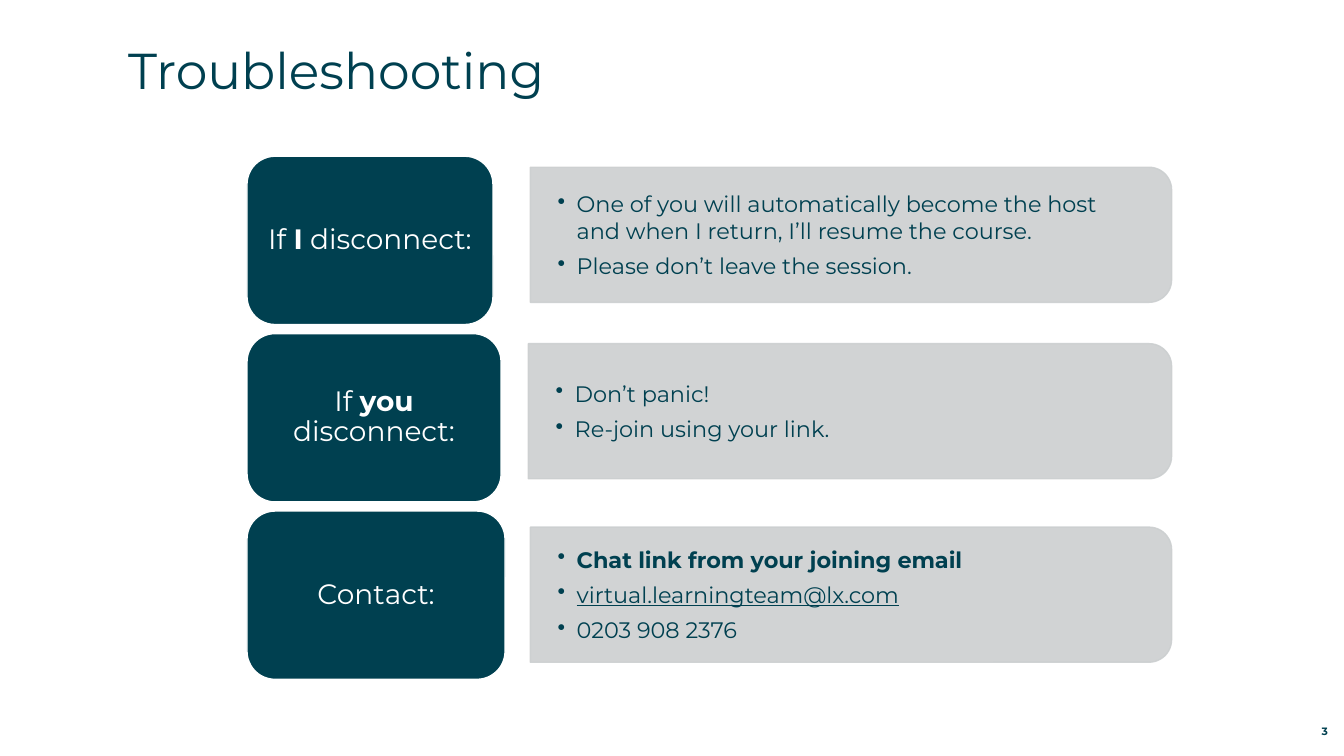
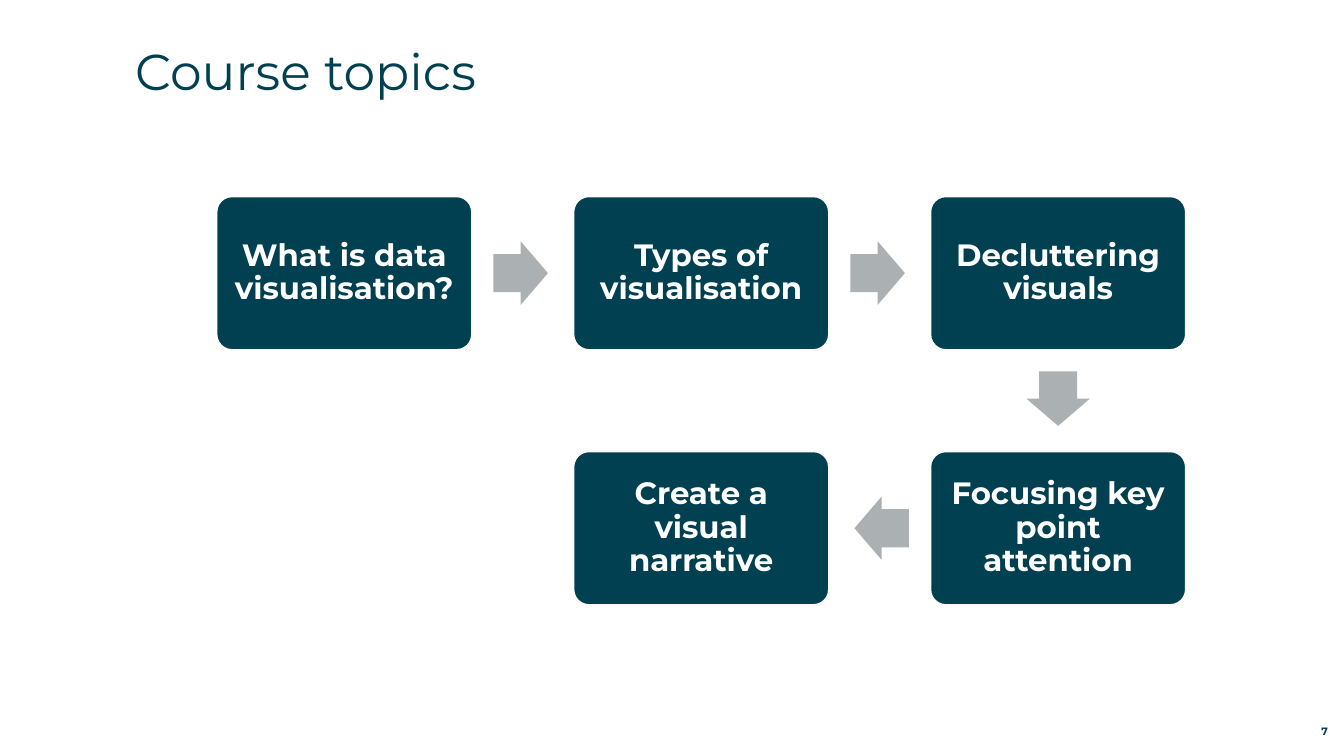
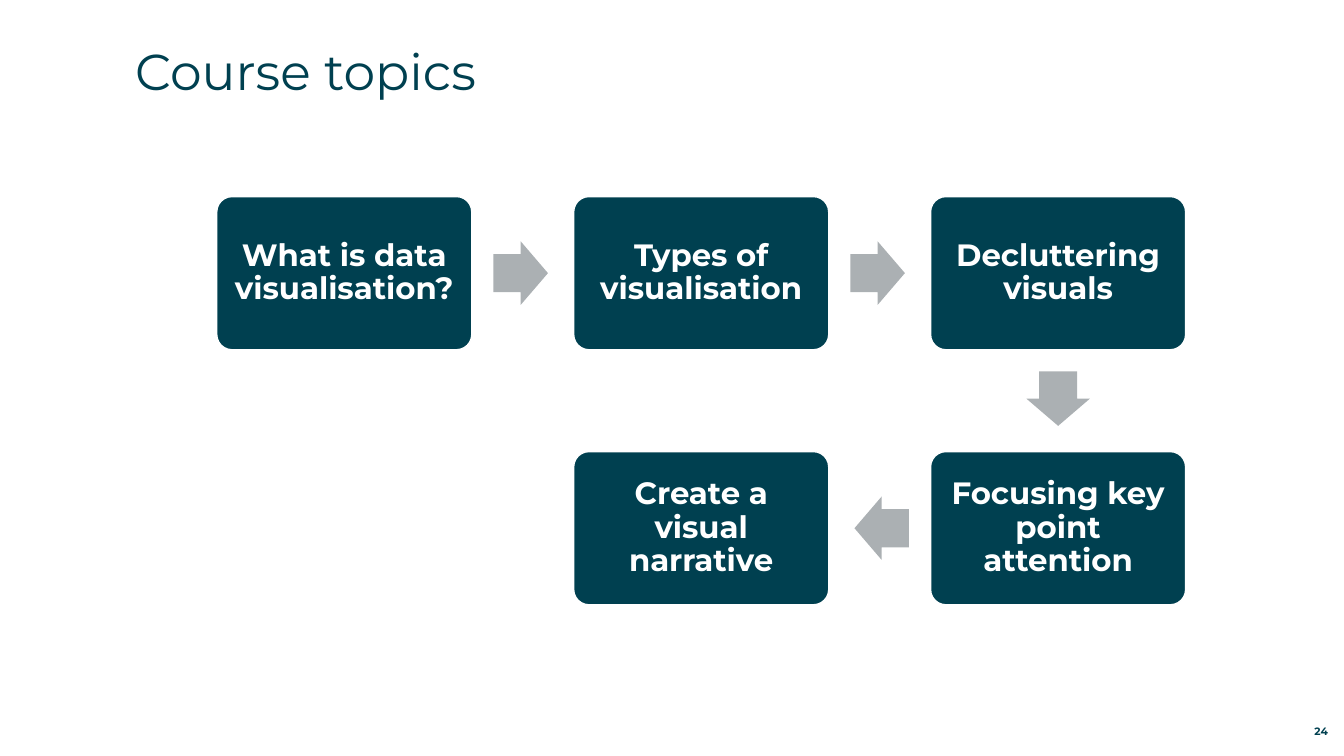
import pptx
import pptx.dml.color
import pptx.enum.shapes
import pptx.enum.text
import pptx.oxml
import pptx.oxml.ns
import pptx.util
from lxml import etree

RGB = pptx.dml.color.RGBColor
SHAPE = pptx.enum.shapes.MSO_SHAPE
ALIGN = pptx.enum.text.PP_ALIGN
ANCHOR = pptx.enum.text.MSO_ANCHOR
Inches = pptx.util.Inches
Pt = pptx.util.Pt
qn = pptx.oxml.ns.qn

# Shared look
TEAL = RGB(0x00, 0x40, 0x50)
WHITE = RGB(0xFF, 0xFF, 0xFF)
PANEL_GREY = RGB(0xCC, 0xCF, 0xD0)
ARROW_GREY = RGB(0xAB, 0xB0, 0xB3)
FONT = "Montserrat"
SLIDE_W, SLIDE_H = 13.33, 7.5

# Troubleshooting rows
ROW_LEFT, ROW_TOP, ROW_PITCH = 2.45, 1.55, 1.76
LABEL_H, PANEL_H, PANEL_RIGHT = 1.67, 1.34, 11.62
# label width, panel left, panel centre, label runs, bullet paragraphs
HELP_ROWS = [
    (2.44, 5.26, 2.33, ["If ", ("I", {"bold": True}), " disconnect:"],
     [["One of you will automatically become the host and when I return, "
       "I’ll resume the course."],
      ["Please don’t leave the session."]]),
    (2.52, 5.24, 4.08, ["If ", ("you", {"bold": True}), " disconnect:"],
     [["Don’t panic!"], ["Re-join using your link."]]),
    (2.56, 5.26, 5.9, ["Contact:"],
     [[("Chat link from your joining email", {"bold": True})],
      [("virtual.learningteam@lx.com", {"underline": True})],
      ["0203 908 2376"]]),
]

# Topic grid: column, row and title, in reading order
GRID_LEFT, GRID_TOP = 2.15, 1.95
COL_PITCH, GRID_ROW_PITCH = 3.54, 2.53
TOPIC_W, TOPIC_H = 2.53, 1.52
ARROW_W, ARROW_H, ARROW_SHIFT = 0.54, 0.63, 0.02
TOPICS = [
    (0, 0, "What is data visualisation?"),
    (1, 0, "Types of visualisation"),
    (2, 0, "Decluttering visuals"),
    (2, 1, "Focusing key point attention"),
    (1, 1, "Create a visual narrative"),
]
ROTATION = {(1, 0): 0, (0, 1): 90, (-1, 0): 180}


def write(sp, paragraphs, size, color=TEAL, bold=False, align=ALIGN.LEFT,
          anchor=ANCHOR.TOP, insets=(0, 0), spacing=None, after=0, bullet=False):
    """Fill a shape with paragraphs, each a list of texts or (text, format)."""
    tf = sp.text_frame
    tf.word_wrap = True
    tf.vertical_anchor = anchor
    tf.margin_left = tf.margin_right = Inches(insets[0])
    tf.margin_top = tf.margin_bottom = Inches(insets[1])
    for i, runs in enumerate(paragraphs):
        p = tf.add_paragraph() if i else tf.paragraphs[0]
        p.alignment = align
        p.space_after = Pt(after)
        if spacing:
            p.line_spacing = spacing
        if bullet:
            pPr = p._p.get_or_add_pPr()
            pPr.set("marL", str(Inches(0.19)))
            pPr.set("indent", str(-Inches(0.19)))
            etree.SubElement(pPr, qn("a:buChar")).set("char", "•")
        for run in runs:
            text, extra = (run, {}) if isinstance(run, str) else run
            r = p.add_run()
            r.text = text
            r.font.name = FONT
            r.font.size = Pt(size)
            r.font.color.rgb = color
            r.font.bold = extra.get("bold", bold)
            r.font.underline = extra.get("underline", False)


def add_text(s, x, y, w, h, paragraphs, size, **fmt):
    sp = s.shapes.add_textbox(Inches(x), Inches(y), Inches(w), Inches(h))
    write(sp, paragraphs, size, **fmt)


def add_shape(s, kind, cx, cy, w, h, fill, line=None, rotation=0):
    """Add a preset shape centred on cx, cy."""
    sp = s.shapes.add_shape(kind, Inches(cx - w / 2), Inches(cy - h / 2),
                            Inches(w), Inches(h))
    sp.shadow.inherit = False
    sp.rotation = rotation
    sp.fill.solid()
    sp.fill.fore_color.rgb = fill
    if line is None:
        sp.line.fill.background()
    else:
        sp.line.color.rgb = line
        sp.line.width = Pt(1)
    return sp


def add_box(s, cx, cy, w, h, runs, size, insets, bold=False):
    sp = add_shape(s, SHAPE.ROUNDED_RECTANGLE, cx, cy, w, h, TEAL, WHITE)
    write(sp, [runs], size, color=WHITE, bold=bold, align=ALIGN.CENTER,
          anchor=ANCHOR.MIDDLE, insets=insets, spacing=0.9)
    return sp


def add_panel(s, left, cy, paragraphs):
    """Grey panel rounded on its right side, with bullets over it."""
    w = PANEL_RIGHT - left
    sp = add_shape(s, SHAPE.ROUND_2_SAME_RECTANGLE, left + w / 2, cy,
                   PANEL_H, w, PANEL_GREY, PANEL_GREY, rotation=90)
    for clr in sp._element.spPr.iter(qn("a:srgbClr")):
        etree.SubElement(clr, qn("a:alpha")).set("val", "90000")
    text_h = 1.21
    add_text(s, left, cy - text_h / 2, w - 0.06, text_h, paragraphs, 16,
             anchor=ANCHOR.MIDDLE, insets=(0.27, 0.14), after=6, bullet=True)


def new_slide(prs, title, number, title_at):
    s = prs.slides.add_slide(prs.slide_layouts[6])
    add_text(s, *title_at, 8.07, 0.74, [[title]], 36)
    add_text(s, SLIDE_W - 1.02, SLIDE_H - 0.38, 0.86, 0.2, [[str(number)]], 7.6,
             bold=True, align=ALIGN.RIGHT, anchor=ANCHOR.BOTTOM)
    return s


def troubleshooting_slide(prs, number):
    s = new_slide(prs, "Troubleshooting", number, (1.27, 0.39))
    for i, (label_w, panel_left, panel_cy, label, bullets) in enumerate(HELP_ROWS):
        add_panel(s, panel_left, panel_cy, bullets)
        add_box(s, ROW_LEFT + label_w / 2, ROW_TOP + i * ROW_PITCH + LABEL_H / 2,
                label_w, LABEL_H, label, 20, (0.08, 0.04))


def topic_centre(col, row):
    return (GRID_LEFT + col * COL_PITCH + TOPIC_W / 2,
            GRID_TOP + row * GRID_ROW_PITCH + TOPIC_H / 2)


def topics_slide(prs, number):
    s = new_slide(prs, "Course topics", number, (1.34, 0.4))
    for col, row, title in TOPICS:
        sp = add_box(s, *topic_centre(col, row), TOPIC_W, TOPIC_H, [title], 22,
                     (0.09, 0.09), bold=True)
        sp.adjustments[0] = 0.1
    # Arrows halfway between neighbours, slightly nearer the first
    for (col, row, _), (next_col, next_row, _) in zip(TOPICS, TOPICS[1:]):
        dx, dy = next_col - col, next_row - row
        cx, cy = topic_centre(col + dx / 2, row + dy / 2)
        sp = add_shape(s, SHAPE.RIGHT_ARROW, cx - dx * ARROW_SHIFT,
                       cy - dy * ARROW_SHIFT, ARROW_W, ARROW_H, ARROW_GREY,
                       rotation=ROTATION[dx, dy])
        sp.adjustments[0] = 0.6
        sp.adjustments[1] = 0.5


def main():
    prs = pptx.Presentation()
    prs.slide_width = Inches(SLIDE_W)
    prs.slide_height = Inches(SLIDE_H)
    troubleshooting_slide(prs, 3)
    for number in (7, 24):
        topics_slide(prs, number)
    prs.save("out.pptx")


if __name__ == "__main__":
    main()
